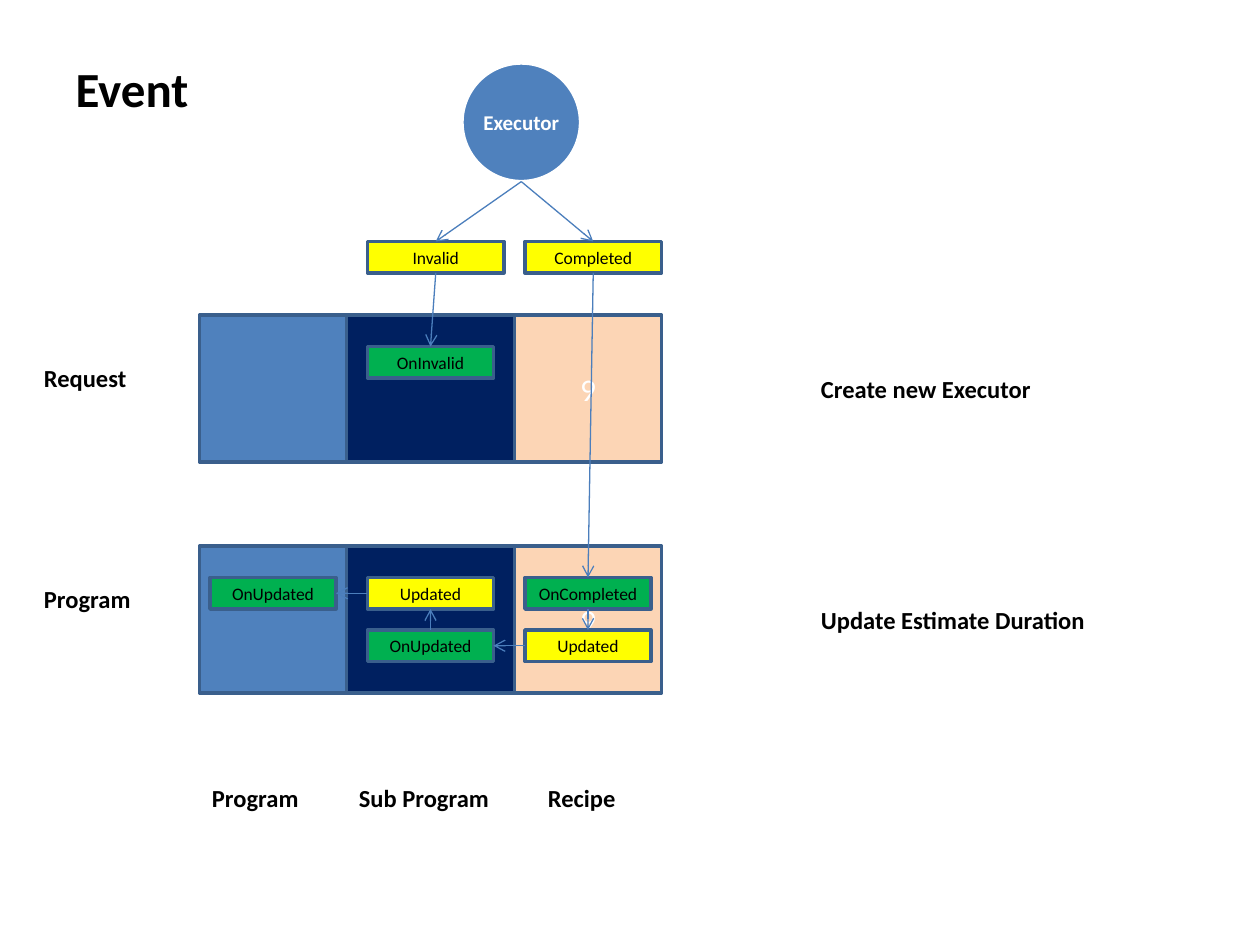
from lxml.etree import SubElement
from pptx import Presentation
from pptx.dml.color import RGBColor
from pptx.enum.shapes import MSO_CONNECTOR, MSO_SHAPE
from pptx.enum.text import MSO_ANCHOR, MSO_AUTO_SIZE, PP_ALIGN
from pptx.oxml.ns import qn
from pptx.util import Inches, Pt

COLORS = {
    "program": "4F81BD", "sub": "002060", "recipe": "FCD5B5",
    "event": "FFFF00", "handler": "00B050",
    "border": "3A5F8C", "arrow": "4B7EBC",
    "black": "000000", "white": "FFFFFF",
}
FONT = "Calibri"
UNIT = 1 / 12
TOP, LEFT, BOTTOM, RIGHT = range(4)


def rgb(name):
    return RGBColor.from_string(COLORS[name])


def grid(*cells):
    return [Inches(c * UNIT) for c in cells]


class Diagram:
    def __init__(self, slide):
        self.s = slide

    def add_text(self, sp, text, size, color, bold=False, align=PP_ALIGN.CENTER):
        p = sp.text_frame.paragraphs[0]
        p.alignment = align
        r = p.add_run()
        r.text = text
        r.font.name, r.font.size, r.font.bold = FONT, Pt(size), bold
        r.font.color.rgb = rgb(color)

    def shape(self, kind, cells, fill, line="border"):
        sp = self.s.shapes.add_shape(kind, *grid(*cells))
        sp.shadow.inherit = False
        sp.fill.solid()
        sp.fill.fore_color.rgb = rgb(fill)
        sp.line.color.rgb = rgb(line)
        sp.line.width = Pt(2)
        sp.text_frame.vertical_anchor = MSO_ANCHOR.MIDDLE
        return sp

    def panel(self, col, row, width, fill, text=None):
        sp = self.shape(MSO_SHAPE.RECTANGLE, (col, row, width, 14), fill)
        if text:
            self.add_text(sp, text, 18, "white")

    def box(self, text, col, row, fill, width=12):
        sp = self.shape(MSO_SHAPE.RECTANGLE, (col, row, width, 3), fill)
        self.add_text(sp, text, 10, "black")
        return sp

    def circle(self, text, col, row, size):
        sp = self.shape(MSO_SHAPE.OVAL, (col, row, size, size), "program", "white")
        sp.text_frame.word_wrap = False
        self.add_text(sp, text, 12, "white", True)

    def fit_text(self, sp, text, size):
        tf = sp.text_frame
        tf.word_wrap = False
        tf.auto_size = MSO_AUTO_SIZE.SHAPE_TO_FIT_TEXT
        tf.vertical_anchor = MSO_ANCHOR.TOP
        self.add_text(sp, text, size, "black", True, PP_ALIGN.LEFT)

    def title(self, text, *cells):
        sp = self.s.shapes.title
        sp.left, sp.top, sp.width, sp.height = grid(*cells)
        self.fit_text(sp, text, 28)

    def label(self, text, col, row, width):
        sp = self.s.shapes.add_textbox(*grid(col, row, width, 4.04))
        self.fit_text(sp, text, 14)

    def arrow(self, start, target, end_site, start_site=None):
        x, y = (0, 0) if start_site is not None else grid(*start)
        c = self.s.shapes.add_connector(MSO_CONNECTOR.STRAIGHT, x, y, x, y)
        if start_site is not None:
            c.begin_connect(start, start_site)
        c.end_connect(target, end_site)
        c.line.color.rgb = rgb("arrow")
        c.line.width = Pt(0.75)
        props = c._element.spPr
        SubElement(props.find(qn("a:ln")), qn("a:tailEnd"), type="arrow")
        SubElement(props, qn("a:effectLst"))


def main():
    prs = Presentation()
    prs.slide_width, prs.slide_height = Inches(10), Inches(7.5)
    d = Diagram(prs.slides.add_slide(prs.slide_layouts[5]))

    d.title("Event", 6, 5, 13.3, 6.87)
    d.circle("Executor", 44, 6, 11.3)

    for row in (30, 52):
        d.panel(19, row, 14, "program")
        d.panel(49, row, 14, "recipe", "9")
        d.panel(33, row, 16, "sub")

    invalid = d.box("Invalid", 35, 23, "event", 13)
    completed = d.box("Completed", 50, 23, "event", 13)
    on_invalid = d.box("OnInvalid", 35, 33, "handler")
    on_completed = d.box("OnCompleted", 50, 55, "handler")
    recipe_updated = d.box("Updated", 50, 60, "event")
    sub_on_updated = d.box("OnUpdated", 35, 60, "handler")
    sub_updated = d.box("Updated", 35, 55, "event")
    program_on_updated = d.box("OnUpdated", 20, 55, "handler")

    for target in (invalid, completed):
        d.arrow((49.65, 17.3), target, TOP)
    for start, start_site, target, end_site in (
        (invalid, BOTTOM, on_invalid, TOP),
        (completed, BOTTOM, on_completed, TOP),
        (on_completed, BOTTOM, recipe_updated, TOP),
        (recipe_updated, LEFT, sub_on_updated, RIGHT),
        (sub_on_updated, TOP, sub_updated, BOTTOM),
        (sub_updated, LEFT, program_on_updated, RIGHT),
    ):
        d.arrow(start, target, end_site, start_site)

    for text, col, row, width in (
        ("Request", 3, 34, 10.3),
        ("Program", 3, 55, 10.7),
        ("Program", 19, 74, 10.7),
        ("Sub Program", 33, 74, 14.9),
        ("Recipe", 51, 74, 8.9),
        ("Create new Executor", 77, 35, 22.4),
        ("Update Estimate Duration", 77, 57, 27.7),
    ):
        d.label(text, col, row, width)

    prs.save("out.pptx")


if __name__ == "__main__":
    main()
